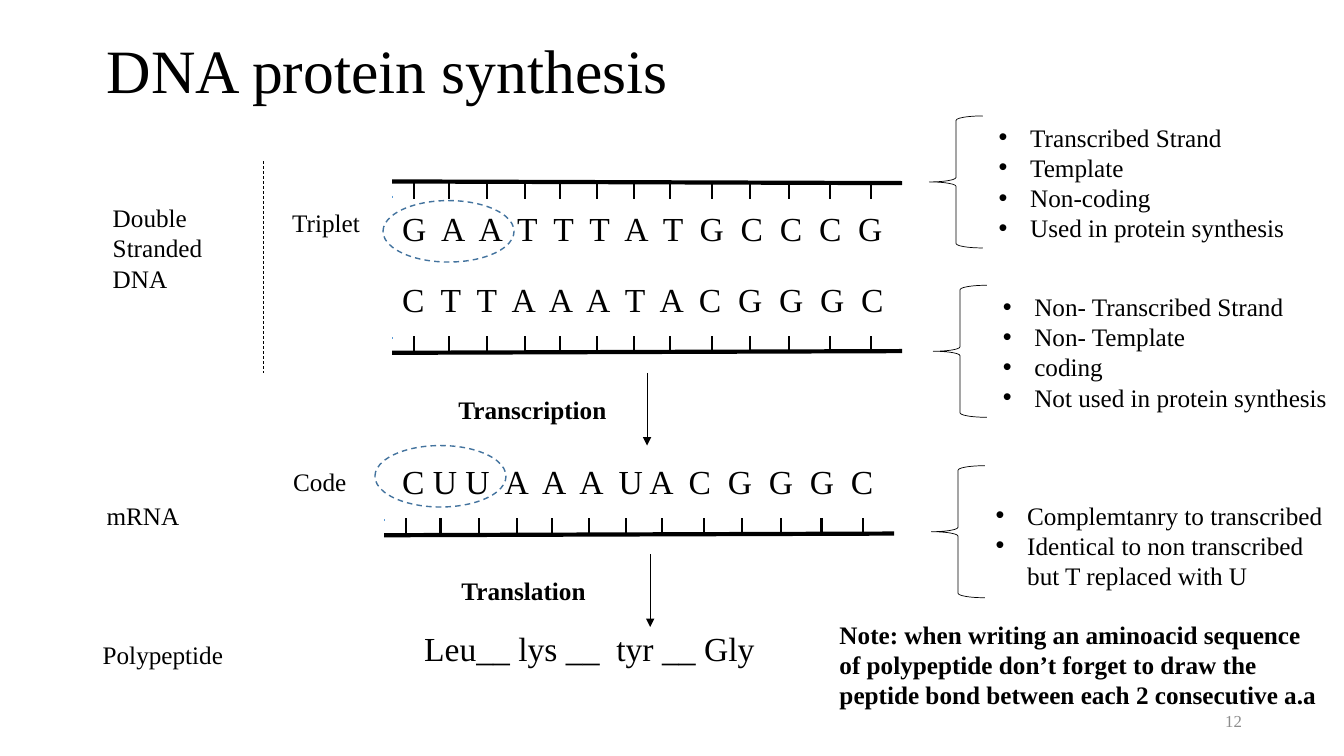
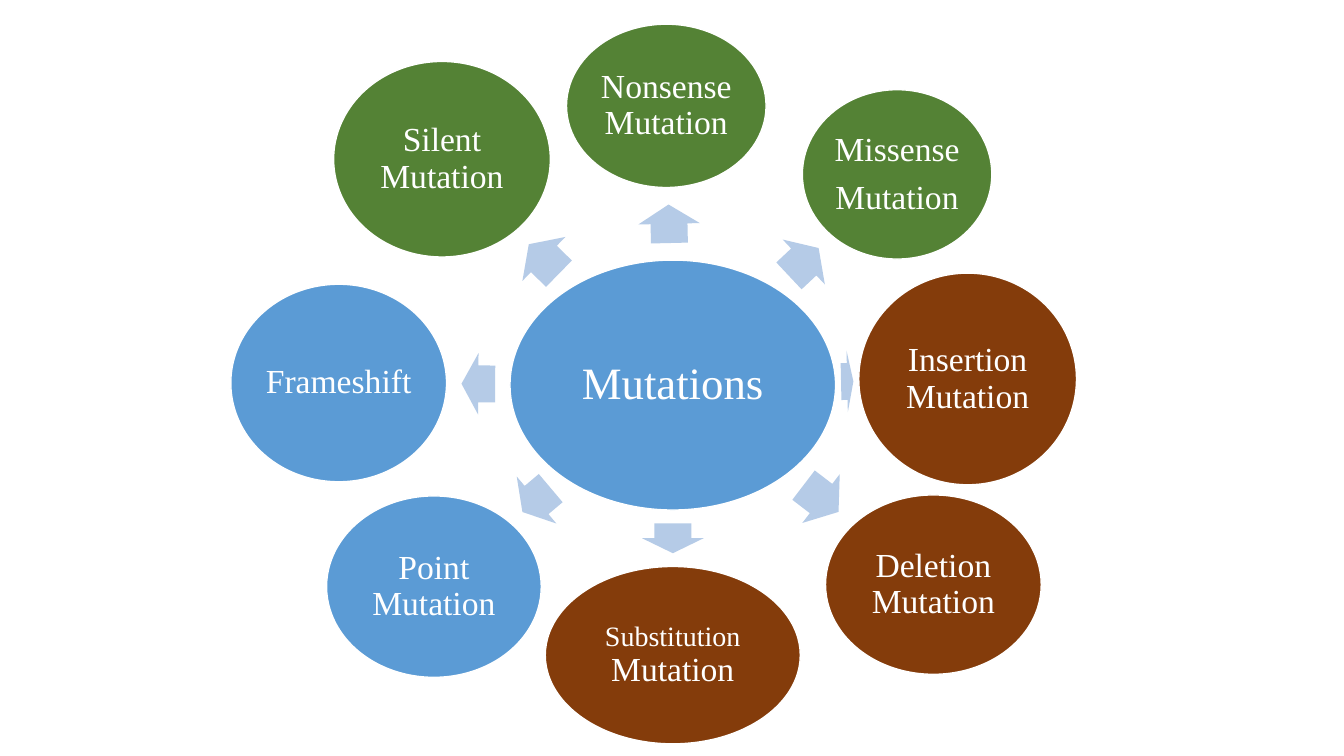
from math import atan2, cos, degrees, hypot, sin

from pptx import Presentation
from pptx.dml.color import RGBColor
from pptx.enum.dml import MSO_LINE as Dash
from pptx.enum.shapes import MSO_CONNECTOR as Link, MSO_SHAPE as Kind
from pptx.enum.text import MSO_ANCHOR as Anchor, PP_ALIGN as Align
from pptx.oxml import parse_xml
from pptx.oxml.ns import nsdecls
from pptx.util import Emu, Pt

# The slide is a grid of square cells; every length below counts cells.
COLS, ROWS = 80, 45
CELL = 152400

FONT = "Times New Roman"
BLACK = RGBColor(0x00, 0x00, 0x00)
WHITE = RGBColor(0xFF, 0xFF, 0xFF)
GREY = RGBColor(0x8C, 0x8C, 0x8C)
BLUE = RGBColor(0x5B, 0x9B, 0xD5)
NAVY = RGBColor(0x43, 0x73, 0x9E)
PALE = RGBColor(0xB5, 0xCB, 0xE7)
GREEN = RGBColor(0x54, 0x82, 0x35)
BROWN = RGBColor(0x84, 0x3C, 0x0B)

# Tick offsets from the left end of a strand
TICKS = (1.32, 3.36, 5.64, 7.92, 10.02, 12.18, 14.4,
         16.56, 19.02, 21.3, 23.64, 26.04, 28.5)

LABELS = (
    (16.8, 12.06, 5.7, "Triplet"),
    (6.12, 11.76, 9.54, "Double \vStranded\vDNA"),
    (5.76, 29.46, 6.18, "mRNA"),
    (16.86, 27.48, 5.7, "Code"),
    (5.52, 37.74, 8.52, "Polypeptide"),
)
BASES = (
    (23.34, 12.06, "G  A  A  T  T  T  A  T  G  C  C  C  G"),
    (23.34, 16.32, "C  T  T  A  A  A  T  A  C  G  G  G  C"),
    (23.34, 27.12, "C U U  A  A  A  U A  C  G  G  G  C"),
    (24.66, 37.08, "Leu__ lys __  tyr __ Gly"),
)
# Brace left and top, list left and top, list items
FACTS = (
    (55.32, 6.9, 58.86, 6.96, (
        "Transcribed Strand", "Template", "Non-coding",
        "Used in protein synthesis")),
    (55.56, 16.98, 59.1, 17.04, (
        "Non- Transcribed Strand", "Non- Template", "coding",
        "Not used in protein synthesis")),
    (55.44, 27.72, 58.68, 29.46, (
        "Complemtanry to transcribed",
        "Identical to non transcribed but T replaced with U")),
)
# Arrow column and top, step name
STEPS = ((38.52, 22.2, "Transcription"), (38.7, 33, "Translation"))

HUB = (30.36, 15.48, 19.38, 14.88)
KINDS = (
    ((19.44, 29.52, 12.78, 10.8), BLUE, ["Point Mutation"]),
    ((47.76, 5.34, 11.28, 10.08), GREEN, ["Missense", "Mutation"]),
    ((51.12, 16.26, 12.96, 12.6), BROWN, ["Insertion Mutation"]),
    ((49.14, 29.46, 12.84, 10.68), BROWN, ["Deletion Mutation"]),
    ((32.46, 33.72, 15.18, 10.56), BROWN,
     [(("Substitution ", 20), ("Mutation", 24))]),
    ((33.72, 1.44, 11.88, 9.72), GREEN, ["Nonsense Mutation"]),
    ((19.86, 3.66, 12.9, 11.64), GREEN, ["Silent Mutation"]),
    ((13.74, 16.92, 12.84, 11.76), BLUE, ["Frameshift"]),
)


def cells(*nums):
    return [Emu(round(num * CELL)) for num in nums]


def bullet(para):
    props = para._p.get_or_add_pPr()
    props.set("marL", "285750")
    props.set("indent", "-285750")
    for tag in ('buFont %s typeface="Arial"', 'buChar %s char="•"'):
        props.append(parse_xml(f"<a:{tag % nsdecls('a')}/>"))


def put(frame, text, size=18, color=BLACK, bold=False, align=Align.LEFT,
        anchor=Anchor.TOP, inset=None, lead=None, after=0, dots=False):
    """Fill a frame; text is a string or a list of paragraphs,
    each a string or a tuple of (words, size) runs."""
    frame.word_wrap = True
    frame.vertical_anchor = anchor
    if inset is not None:
        (frame.margin_left, frame.margin_top,
         frame.margin_right, frame.margin_bottom) = cells(*[inset] * 4)
    items = [text] if isinstance(text, str) else text
    for num, item in enumerate(items):
        para = frame.add_paragraph() if num else frame.paragraphs[0]
        para.alignment = align
        para.line_spacing = lead
        para.space_after = Pt(after)
        if dots:
            bullet(para)
        if isinstance(item, str):
            para.text = item
            sizes = [size] * len(para.runs)
        else:
            for words, _ in item:
                para.add_run().text = words
            sizes = [pts for _, pts in item]
        for run, pts in zip(para.runs, sizes):
            run.font.name = FONT
            run.font.size = Pt(pts)
            run.font.bold = bold
            run.font.color.rgb = color


def box(slide, x, y, w, h, text, **form):
    put(slide.shapes.add_textbox(*cells(x, y, w, h)).text_frame, text, **form)


def form(slide, kind, area, fill=None, edge=None, width=1, dash=None):
    item = slide.shapes.add_shape(kind, *cells(*area))
    item.shadow.inherit = False
    if fill is None:
        item.fill.background()
    else:
        item.fill.solid()
        item.fill.fore_color.rgb = fill
    if edge is None:
        item.line.fill.background()
    else:
        item.line.color.rgb = edge
        item.line.width = Pt(width)
        item.line.dash_style = dash
    return item


def line(slide, x1, y1, x2, y2, width=0.5, color=BLACK, dash=None, head=False):
    item = slide.shapes.add_connector(Link.STRAIGHT, *cells(x1, y1, x2, y2))
    item.line.color.rgb = color
    item.line.width = Pt(width)
    item.line.dash_style = dash
    if head:
        item.get_or_add_ln().append(
            parse_xml(f"<a:tailEnd {nsdecls('a')} type='triangle'/>"))
    item._element.spPr.append(parse_xml(f"<a:effectLst {nsdecls('a')}/>"))


def strand(slide, x, y, way):
    """Draw a rail with its ticks pointing down (way 1) or up (way -1)."""
    line(slide, x, y + 0.84 * way, x, y + 0.96 * way, color=BLUE)
    line(slide, x, y, x + 30.36, y + 0.1 * way, width=3)
    for tick in TICKS:
        line(slide, x + tick, y + 0.12 * way, x + tick, y + 1.02 * way,
             width=1.5)


def title(slide, text):
    box(slide, 5.76, 0, 69, 8.7, text, size=44, anchor=Anchor.MIDDLE, lead=0.9)


def number(slide, text):
    box(slide, 56.52, 41.7, 18, 2.4, text, size=12, color=GREY,
        align=Align.RIGHT, anchor=Anchor.MIDDLE)


def bubble(slide, area, fill, text, size=24):
    item = form(slide, Kind.OVAL, area, fill, WHITE)
    put(item.text_frame, text, size=size, color=WHITE, align=Align.CENTER,
        anchor=Anchor.MIDDLE, inset=0.18, lead=0.9, after=0.35 * size)


def mid(area):
    x, y, w, h = area
    return x + w / 2, y + h / 2


def reach(area, turn):
    """Radius of the ellipse in an area, in the direction turn."""
    return 1 / hypot(cos(turn) * 2 / area[2], sin(turn) * 2 / area[3])


def spoke(slide, start, end):
    """Centre a block arrow in the gap between two ellipses."""
    (x1, y1), (x2, y2) = mid(start), mid(end)
    turn = atan2(y2 - y1, x2 - x1)
    near = reach(start, turn)
    gap = hypot(x2 - x1, y2 - y1) - near - reach(end, turn)
    far = near + gap / 2
    w, h = 0.53 * gap, 3.66
    x, y = x1 + far * cos(turn), y1 + far * sin(turn)
    item = form(slide, Kind.RIGHT_ARROW, (x - w / 2, y - h / 2, w, h), PALE)
    item.adjustments[0] = 0.6
    item.adjustments[1] = 0.5
    item.rotation = degrees(turn) % 360


def draw_dna(slide):
    title(slide, "DNA protein synthesis")
    for x, y, text in BASES:
        box(slide, x, y, 33, 3, text, size=24)
    for x, y, way in ((23.34, 10.8, 1), (23.34, 21, -1), (22.86, 31.86, -1)):
        strand(slide, x, y, way)
    for x, y in ((22.8, 11.94), (22.32, 26.52)):
        form(slide, Kind.OVAL, (x, y, 7.8, 3.66), edge=NAVY, dash=Dash.DASH)
    for x, y, w, text in LABELS:
        box(slide, x, y, w, 2.4, text)
    line(slide, 15.66, 9.6, 15.66, 22.2, dash=Dash.DASH)
    for x, y, left, top, items in FACTS:
        form(slide, Kind.LEFT_BRACE, (x, y, 3.18, 7.86), edge=BLACK, width=0.5)
        box(slide, left, top, 21.18, 7.86, items, dots=True)
    for x, y, text in STEPS:
        line(slide, x, y, x, y + 4.32, head=True)
        box(slide, x - 11.82, y + 0.96, 10.5, 2.4, text, bold=True)
    box(slide, 49.38, 36.54, 29.88, 6.06,
        "Note: when writing an aminoacid sequence of polypeptide don’t forget "
        "to draw the peptide bond between each 2 consecutive a.a", bold=True)
    number(slide, "12")


def draw_kinds(slide):
    bubble(slide, HUB, BLUE, "Mutations", size=32)
    for area, fill, text in KINDS:
        spoke(slide, HUB, area)
        bubble(slide, area, fill, text)


def main():
    deck = Presentation()
    deck.slide_width, deck.slide_height = cells(COLS, ROWS)
    for draw in (draw_dna, draw_kinds):
        draw(deck.slides.add_slide(deck.slide_layouts[6]))
    deck.save("out.pptx")


if __name__ == "__main__":
    main()
